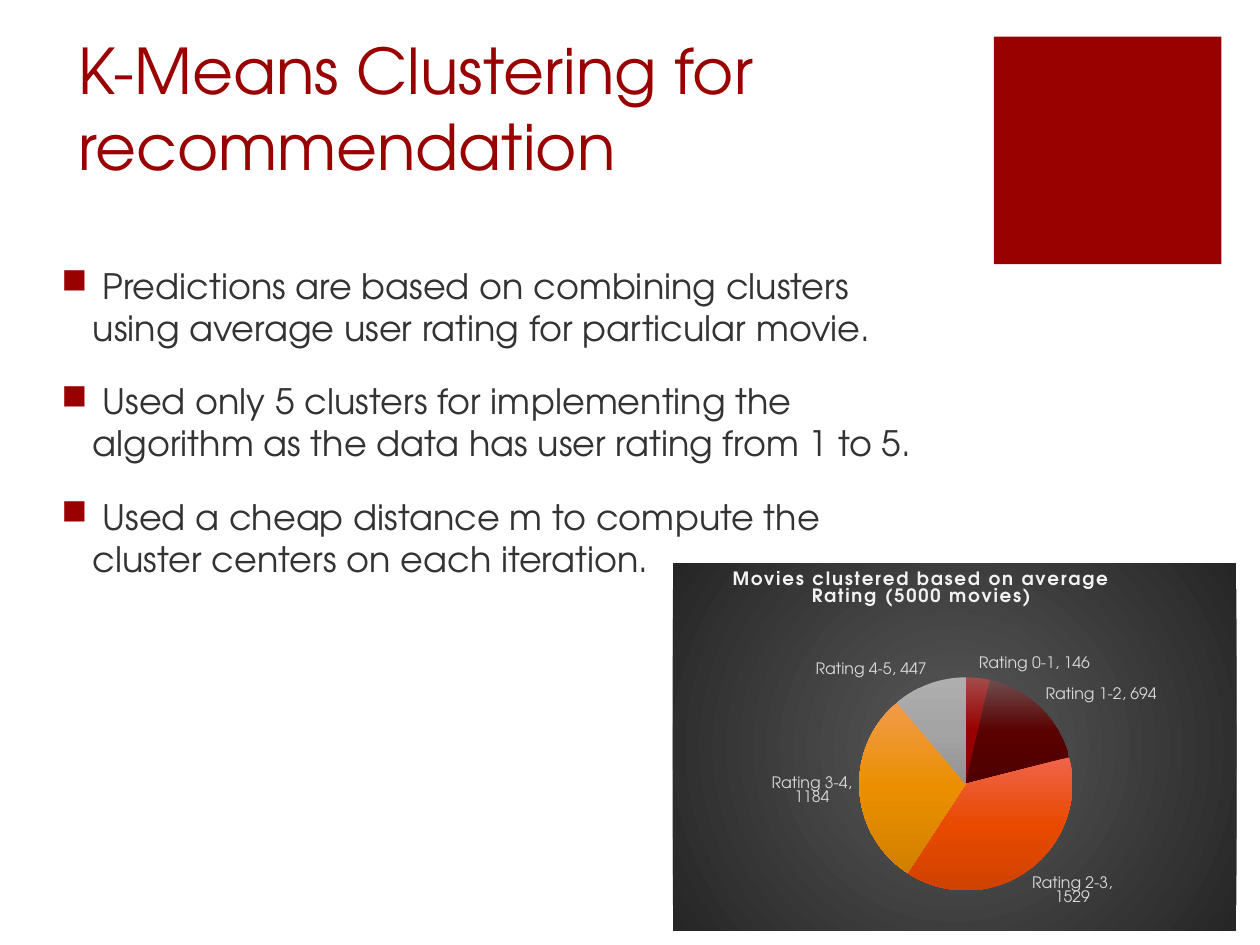
"""Build the slide on K-means clustering for recommendation."""
from dataclasses import dataclass
from typing import Any

from lxml.etree import SubElement
from pptx import Presentation
from pptx.chart.data import CategoryChartData
from pptx.dml.color import RGBColor as Rgb
from pptx.enum.chart import XL_CHART_TYPE as ChartType, XL_LABEL_POSITION as LabelPos
from pptx.enum.shapes import MSO_SHAPE as Preset
from pptx.enum.text import MSO_ANCHOR as Anchor, MSO_AUTO_SIZE as AutoSize, PP_ALIGN as Align
from pptx.oxml import parse_xml
from pptx.oxml.ns import nsdecls, qn
from pptx.util import Pt


@dataclass(frozen=True)
class Theme:
    """Colours and type sizes of the slide."""
    font: str = "TeX Gyre Adventor"
    accent: str = "990000"
    body: str = "333333"
    label: str = "D9D9D9"
    chart_title: str = "F2F2F2"
    backdrop: tuple = ("595959", "262626")
    title_size: float = 36
    body_size: float = 20
    chart_title_size: float = 10.5
    label_size: float = 9


@dataclass(frozen=True)
class Box:
    """Place of an element in points."""
    left: float
    top: float
    width: float
    height: float

    def lengths(self) -> dict:
        """Give the place as shape attributes."""
        return {"left": Pt(self.left), "top": Pt(self.top),
                "width": Pt(self.width), "height": Pt(self.height)}


@dataclass(frozen=True)
class Slice:
    """One pie slice with its gradient from top to bottom."""
    rating: str
    movies: int
    colours: tuple


THEME = Theme()
TITLE = "K-Means Clustering for recommendation"
POINTS = (
    " Predictions are based on combining clusters using average user rating for particular movie.",
    " Used only 5 clusters for implementing the algorithm as the data has user rating from 1 to 5.",
    " Used a cheap distance m to compute the cluster centers on each iteration.",
)
CHART_TITLE = "Movies clustered based on average Rating (5000 movies)"
SLICES = (
    Slice("Rating 0-1", 146, ("A44B4B", "990000", "880000")),
    Slice("Rating 1-2", 694, ("6F4B4B", "590000", "4F0000")),
    Slice("Rating 2-3", 1529, ("EF644B", "E94A00", "CF4200")),
    Slice("Rating 3-4", 1184, ("F19B4B", "EB8F00", "D17F00")),
    Slice("Rating 4-5", 447, ("AEAEAE", "A4A4A4", "929292")),
)


def assign(target: Any, values: dict) -> None:
    """Set each attribute in values on the target."""
    for name, value in values.items():
        setattr(target, name, value)


def style(font: Any, size: float, colour: str, bold: bool = False) -> None:
    """Format a font in the theme's typeface."""
    assign(font, {"name": THEME.font, "size": Pt(size), "bold": bold})
    font.color.rgb = Rgb.from_string(colour)


def gradient(colours: tuple, direction: str) -> Any:
    """Make a gradient fill with evenly spaced stops."""
    step = 100000 // (len(colours) - 1)
    stops = "".join(f'<a:gs pos="{i * step}"><a:srgbClr val="{colour}"/></a:gs>'
                    for i, colour in enumerate(colours))
    return parse_xml(f'<a:gradFill {nsdecls("a")} rotWithShape="1">'
                     f'<a:gsLst>{stops}</a:gsLst>{direction}</a:gradFill>')


def set_layout(parent: Any, index: int, fractions: dict, inner: bool = False) -> None:
    """Place a chart part by fractions of the chart area."""
    for old in parent.findall(qn("c:layout")):
        parent.remove(old)
    layout = parse_xml(f'<c:layout {nsdecls("c")}><c:manualLayout/></c:layout>')
    settings = {"layoutTarget": "inner"} if inner else {}
    settings |= {"xMode": "edge", "yMode": "edge"} | fractions
    for tag, value in settings.items():
        SubElement(layout[0], qn(f"c:{tag}")).set("val", str(value))
    parent.insert(index, layout)


def add_square(slide: Any, box: Box) -> None:
    """Draw the accent square."""
    square = slide.shapes.add_shape(Preset.RECTANGLE, **box.lengths())
    square.shadow.inherit = False
    square.fill.solid()
    square.fill.fore_color.rgb = Rgb.from_string(THEME.accent)
    square.line.fill.background()


def set_title(slide: Any, box: Box) -> None:
    """Place and format the title placeholder."""
    heading = slide.shapes.title
    assign(heading, box.lengths())
    frame = heading.text_frame
    frame.text = TITLE
    assign(frame, {"word_wrap": True, "auto_size": AutoSize.NONE,
                   "vertical_anchor": Anchor.BOTTOM})
    frame.paragraphs[0].alignment = Align.LEFT
    style(frame.paragraphs[0].runs[0].font, THEME.title_size, THEME.accent)


def add_points(slide: Any, box: Box) -> None:
    """Write the bulleted statements."""
    frame = slide.shapes.add_textbox(**box.lengths()).text_frame
    frame.word_wrap = True
    for number, statement in enumerate(POINTS):
        paragraph = frame.add_paragraph() if number else frame.paragraphs[0]
        paragraph.space_before = Pt(18)
        run = paragraph.add_run()
        run.text = statement
        style(run.font, THEME.body_size, THEME.body)
        properties = paragraph._p.get_or_add_pPr()
        properties.set("marL", str(Pt(18)))
        properties.set("indent", str(Pt(-18)))
        colour = SubElement(properties, qn("a:buClr"))
        SubElement(colour, qn("a:srgbClr")).set("val", THEME.accent)
        SubElement(properties, qn("a:buChar")).set("char", "■")


def add_rating_pie(slide: Any, box: Box) -> None:
    """Draw the pie of movies per rating cluster."""
    data = CategoryChartData()
    data.categories = [part.rating for part in SLICES]
    data.add_series("Movies", [part.movies for part in SLICES])
    place = box.lengths()
    chart = slide.shapes.add_chart(ChartType.PIE, place["left"], place["top"],
                                   place["width"], place["height"], data).chart
    style(chart.font, THEME.label_size, THEME.label)
    chart.has_legend = False

    caption = chart.chart_title.text_frame
    caption.text = CHART_TITLE
    caption_font = caption.paragraphs[0].runs[0].font
    style(caption_font, THEME.chart_title_size, THEME.chart_title, bold=True)
    caption_font._element.set("spc", "100")

    plot = chart.plots[0]
    plot.vary_by_categories = True
    plot.has_data_labels = True
    assign(plot.data_labels, {"show_category_name": True, "show_value": True,
                              "show_percentage": False, "position": LabelPos.OUTSIDE_END})
    style(plot.data_labels.font, THEME.label_size, THEME.label)
    separator = parse_xml(f'<c:separator {nsdecls("c")}>, </c:separator>')
    plot.data_labels._element.find(qn("c:showBubbleSize")).addnext(separator)

    space = chart._chartSpace
    for index, part in enumerate(SLICES):
        look = plot.series[0].points[index].format
        look.fill.solid()
        look.line.fill.background()
        solid = space.xpath(".//c:dPt/c:spPr/a:solidFill")[0]
        solid.getparent().replace(solid, gradient(part.colours, '<a:lin ang="5400000" scaled="0"/>'))

    backdrop = parse_xml(f'<c:spPr {nsdecls("c", "a")}><a:ln><a:noFill/></a:ln></c:spPr>')
    backdrop.insert(0, gradient(THEME.backdrop, '<a:path path="circle"><a:fillToRect '
                                'l="50000" t="50000" r="50000" b="50000"/></a:path>'))
    space.find(qn("c:txPr")).addprevious(backdrop)
    set_layout(space.xpath(".//c:title")[0], 1, {"x": 0.1, "y": 0.01})
    set_layout(space.xpath(".//c:plotArea")[0], 0,
               {"x": 0.33, "y": 0.31, "w": 0.38, "h": 0.58}, inner=True)


def main() -> None:
    """Build and save the slide."""
    deck = Presentation()
    assign(deck, {"slide_width": Pt(720), "slide_height": Pt(540)})
    slide = deck.slides.add_slide(deck.slide_layouts.get_by_name("Title Only"))
    add_square(slide, Box(568, 21, 130, 130))
    set_title(slide, Box(37.5, 36, 512.5, 72))
    add_points(slide, Box(28, 147.5, 512.5, 384.5))
    add_rating_pie(slide, Box(384.5, 322, 322, 210))
    deck.save("out.pptx")


if __name__ == "__main__":
    main()
